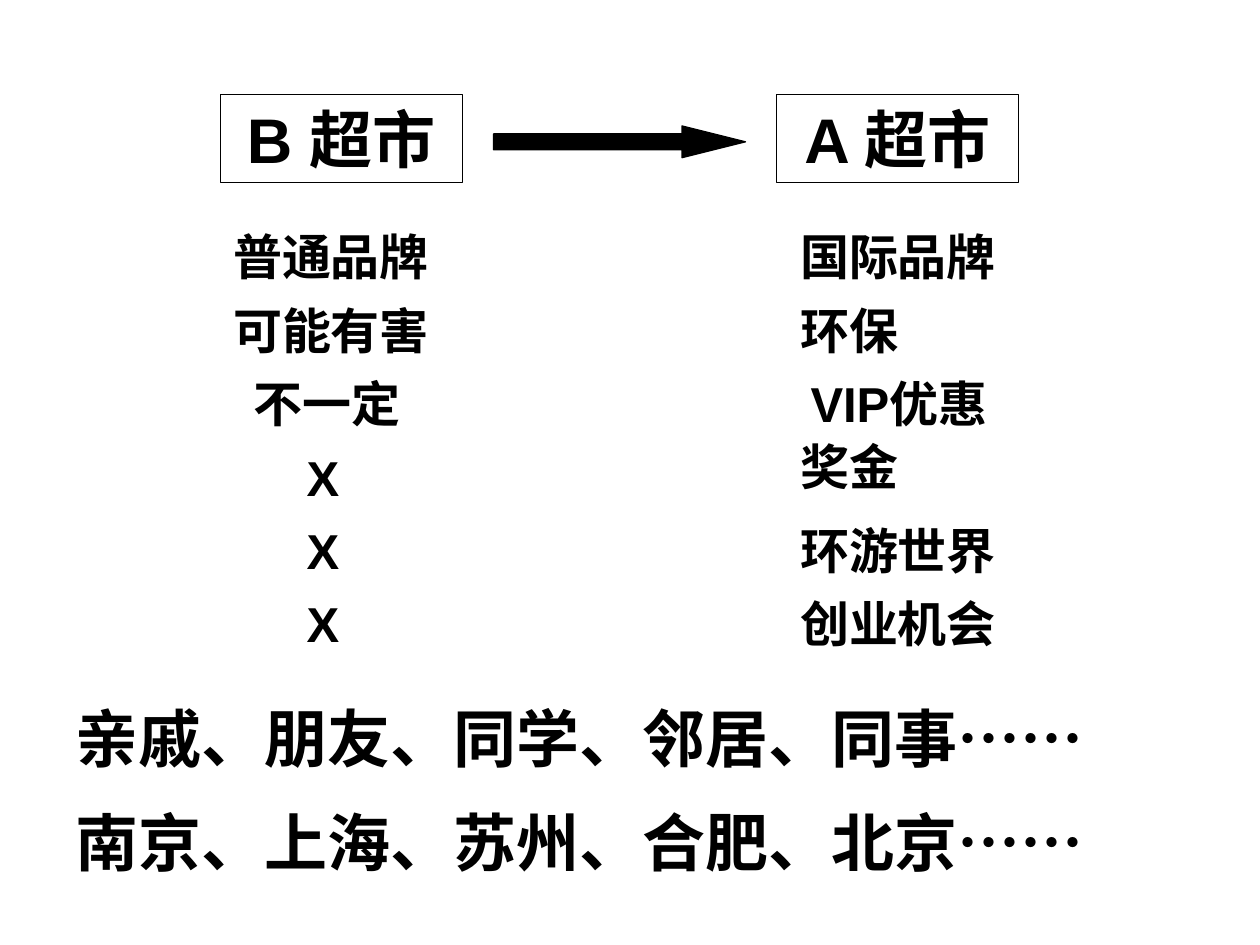
from pptx import Presentation
from pptx.dml.color import RGBColor
from pptx.enum.shapes import MSO_SHAPE as Kind
from pptx.enum.text import MSO_AUTO_SIZE as Fit, PP_ALIGN as Align
from pptx.util import Cm, Pt

BLACK = RGBColor(0, 0, 0)
BIG, MID = 36, 28


def write(shape, text, size, align=Align.LEFT):
    frame = shape.text_frame
    frame.word_wrap = True
    frame.auto_size = Fit.SHAPE_TO_FIT_TEXT
    para = frame.paragraphs[0]
    para.text = text
    para.alignment = align
    look = {"name": "Arial", "size": Pt(size), "bold": True}
    for key, value in look.items():
        setattr(para.font, key, value)
    para.font.color.rgb = BLACK


def draw(kind, left, top, width, height):
    """Add a preset shape with a thin black outline and no shadow."""
    shape = slide.shapes.add_shape(kind, Cm(left), Cm(top), Cm(width), Cm(height))
    shape.shadow.inherit = False
    shape.line.color.rgb = BLACK
    shape.line.width = Pt(0.75)
    return shape


deck = Presentation()
deck.slide_width, deck.slide_height = Cm(25.4), Cm(19.05)
slide = deck.slides.add_slide(deck.slide_layouts[6])

# The two shops and the arrow between them
for left, name in ((4.45, "B 超市"), (15.66, "A 超市")):
    box = draw(Kind.RECTANGLE, left, 1.9, 4.87, 1.78)
    box.fill.background()
    write(box, name, BIG, Align.CENTER)

arrow = draw(Kind.RIGHT_ARROW, 9.95, 2.54, 5.08, 0.64)
arrow.adjustments[1] = 2
arrow.fill.solid()
arrow.fill.fore_color.rgb = BLACK

# Comparison rows: left edge and text for each shop
TOP, STEP = 4.45, 1.48
PRIZE = "奖金"
rows = [
    (4.45, "普通品牌", 15.88, "国际品牌"),
    (4.45, "可能有害", 15.88, "环保"),
    (4.87, "不一定", 16.09, "VIP优惠"),
    (5.93, "X", 15.88, PRIZE),
    (5.93, "X", 15.88, "环游世界"),
    (5.93, "X", 15.88, "创业机会"),
]
for i, (left, old, right, new) in enumerate(rows):
    for x, text in ((left, old), (right, new)):
        y = TOP + i * STEP - (0.21 if text == PRIZE else 0)
        width = 1.9 if text == "X" else 4.8
        cell = slide.shapes.add_textbox(Cm(x), Cm(y), Cm(width), Cm(1.45))
        write(cell, text, MID)

# People and cities
lists = ("亲戚、朋友、同学、邻居、同事……", "南京、上海、苏州、合肥、北京……")
for i, text in enumerate(lists):
    line = slide.shapes.add_textbox(Cm(1.27), Cm(13.97 + i * 2.11), Cm(22), Cm(1.78))
    write(line, text, BIG)

deck.save("out.pptx")
